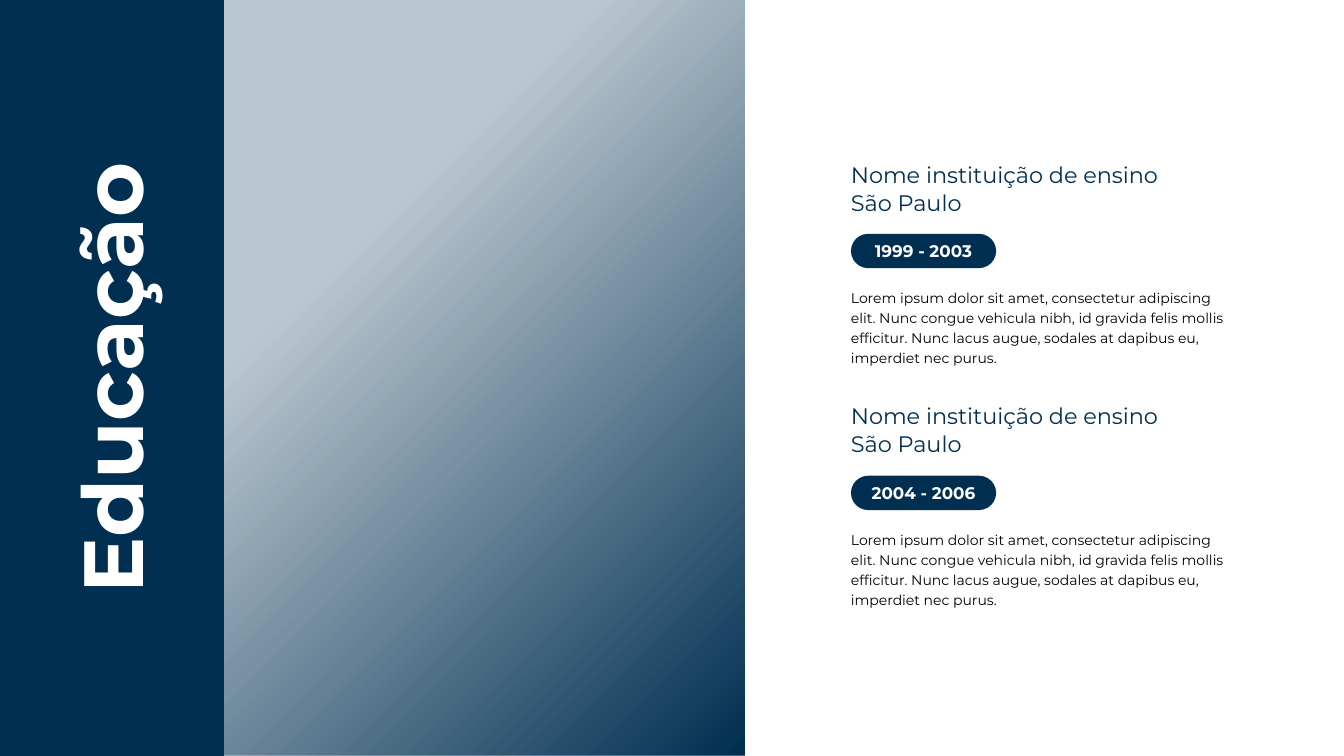
from lxml import etree
from pptx import Presentation
from pptx import util as u
from pptx.dml.color import RGBColor
from pptx.enum import shapes, text
from pptx.oxml.ns import qn

NAVY, WHITE, BLACK = "002F51", "FFFFFF", "000000"
LOREM = ("Lorem ipsum dolor sit amet, consectetur adipiscing elit. Nunc congue "
         "vehicula nibh, id gravida felis mollis efficitur. Nunc lacus augue, "
         "sodales at dapibus eu, imperdiet nec purus.")
SCHOOLS = [
    (["Nome instituição de ensino", "São Paulo"], "1999 - 2003", LOREM),
    (["Nome instituição de ensino", "São Paulo"], "2004 - 2006", LOREM),
]
FIRST_TOP, SCHOOL_STEP = 1.61, 2.4


def rgb(value):
    return RGBColor.from_string(value)


def write(frame, lines, size, color, bold=False, align=text.PP_ALIGN.LEFT,
          anchor=text.MSO_ANCHOR.TOP, spacing=None, gap=0, inset=0.05):
    """Fill a text frame with one paragraph per line; gap is the points between them."""
    frame.word_wrap = True
    frame.auto_size = text.MSO_AUTO_SIZE.NONE
    frame.vertical_anchor = anchor
    frame.margin_left = frame.margin_right = u.Inches(0.08)
    frame.margin_top = frame.margin_bottom = u.Inches(inset)
    for index, line in enumerate(lines):
        para = frame.paragraphs[0] if index == 0 else frame.add_paragraph()
        para.alignment = align
        para.line_spacing = spacing
        para.space_before = u.Pt(gap if index else 0)
        span = para.add_run()
        span.text = line
        span.font.name = "Montserrat"
        span.font.size = u.Pt(size)
        span.font.bold = bold
        span.font.color.rgb = rgb(color)


class Slide:
    def __init__(self, deck):
        self.page = deck.slides.add_slide(deck.slide_layouts[5])

    def panel(self, left, top, width, height, kind=shapes.MSO_SHAPE.RECTANGLE):
        box = self.page.shapes.add_shape(kind, *map(u.Inches, (left, top, width, height)))
        box.shadow.inherit = False
        box.fill.solid()
        box.fill.fore_color.rgb = rgb(NAVY)
        box.line.fill.background()
        return box

    def fading_panel(self, left, top, width, height, start, opacity):
        """Panel that darkens from the top left, from opacity (percent) to solid."""
        box = self.panel(left, top, width, height)
        box.fill.gradient()
        box.fill.gradient_angle = 315
        for stop, position in zip(box.fill.gradient_stops, (start, 1)):
            stop.color.rgb = rgb(NAVY)
            stop.position = position
        first_color = next(box.element.spPr.iter(qn("a:srgbClr")))
        etree.SubElement(first_color, qn("a:alpha")).set("val", str(opacity * 1000))

    def pill(self, left, top, width, height, label):
        box = self.panel(left, top, width, height, shapes.MSO_SHAPE.ROUNDED_RECTANGLE)
        box.adjustments[0] = 0.5
        write(box.text_frame, [label], 12, WHITE, bold=True,
              align=text.PP_ALIGN.CENTER, anchor=text.MSO_ANCHOR.MIDDLE)

    def text_box(self, left, top, width, height, lines, size, color, **style):
        box = self.page.shapes.add_textbox(*map(u.Inches, (left, top, width, height)))
        write(box.text_frame, lines, size, color, **style)

    def side_title(self, left, top, width, height, label):
        """Place the title upright, in front of the panels drawn so far."""
        title = self.page.shapes.title
        title.left, title.top, title.width, title.height = map(
            u.Inches, (left, top, width, height))
        title.rotation = 270
        write(title.text_frame, [label], 60, WHITE, bold=True, spacing=u.Pt(70),
              align=text.PP_ALIGN.CENTER, anchor=text.MSO_ANCHOR.MIDDLE)
        title.element.getparent().append(title.element)

    def school(self, top, heading, period, details):
        self.text_box(8.36, top, 3.86, 0.64, heading, 16, NAVY, inset=0,
                      anchor=text.MSO_ANCHOR.MIDDLE, spacing=u.Pt(10), gap=10)
        self.pill(8.44, top + 0.71, 1.44, 0.34, period)
        self.text_box(8.36, top + 1.18, 3.86, 0.9, [details], 10, BLACK, spacing=1.2)


def main():
    deck = Presentation()
    deck.slide_width, deck.slide_height = u.Inches(13.33), u.Inches(7.5)
    slide = Slide(deck)
    slide.fading_panel(2.22, 0, 5.16, 7.5, start=0.29, opacity=26)
    slide.panel(0, 0, 2.22, 7.5)
    slide.side_title(-1.67, 3.21, 5.55, 1.08, "Educação")
    for index, school in enumerate(SCHOOLS):
        slide.school(FIRST_TOP + index * SCHOOL_STEP, *school)
    deck.save("out.pptx")


if __name__ == "__main__":
    main()
